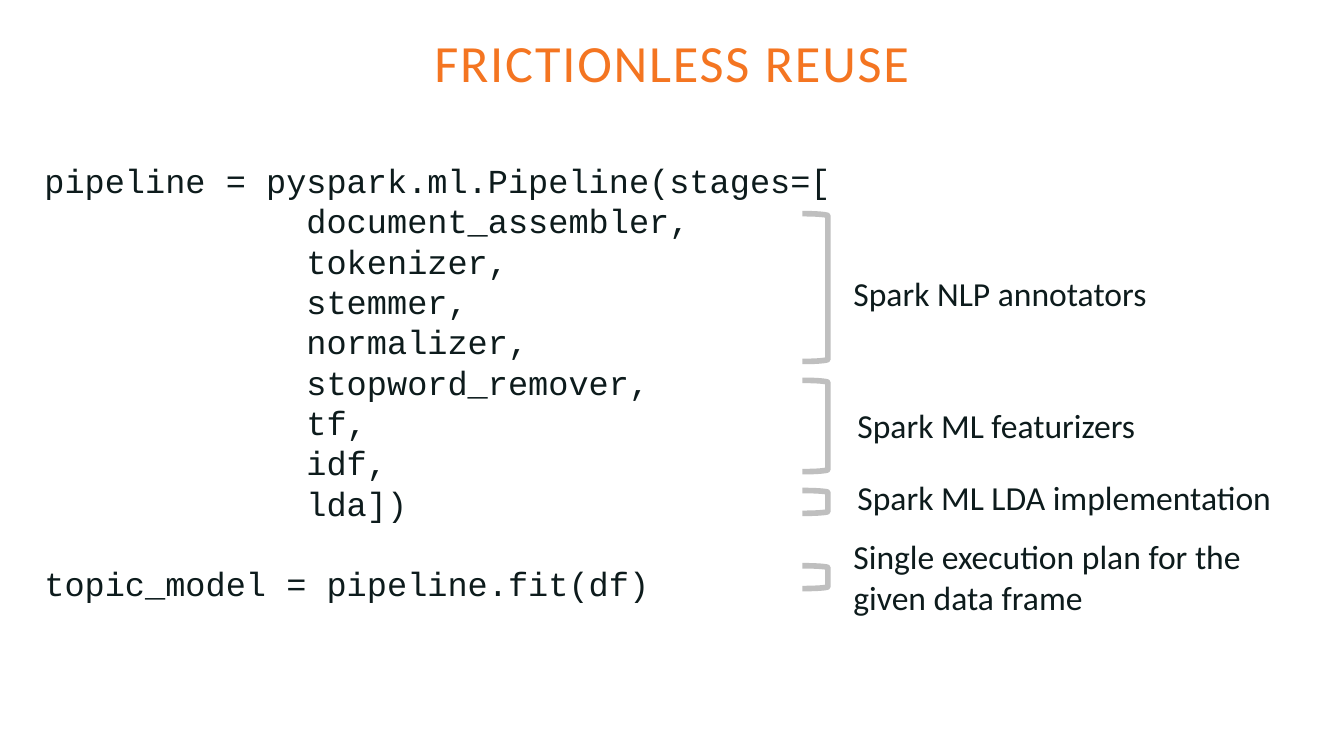
"""Builds the "Frictionless reuse" slide: pipeline code with bracketed notes."""
from typing import NamedTuple

from pptx import Presentation
from pptx import util as u
from pptx.dml.color import RGBColor
from pptx.enum import shapes, text

INK, ORANGE, GREY = "0D1B1C", "F47521", "BFBFBF"
SLIDE_WIDTH = 10
LINE_HEIGHT = u.Pt(21.6)
INDENT = " " * 13
STAGES = ["document_assembler,", "tokenizer,", "stemmer,", "normalizer,",
          "stopword_remover,", "tf,", "idf,", "lda])"]
PIPELINE = "\v".join(["pipeline = pyspark.ml.Pipeline(stages=["]
                     + [INDENT + stage for stage in STAGES])
FIT = "topic_model = pipeline.fit(df)"


class Note(NamedTuple):
    """A bracket beside the code and the label that explains it."""
    label: str
    left: float
    top: float
    height: float
    bracket_top: float
    bracket_height: float


NOTES = [
    Note("Spark NLP annotators", 6.35, 2.03, 0.3, 1.59, 1.1),
    Note("Spark ML featurizers", 6.38, 3.01, 0.3, 2.83, 0.68),
    Note("Spark ML LDA implementation", 6.38, 3.55, 0.3, 3.65, 0.17),
    Note("Single execution plan for the given data frame", 6.35, 3.99, 0.61, 4.21, 0.17),
]


def colour(value: str) -> RGBColor:
    """Turn a hex string into a colour."""
    return RGBColor.from_string(value)


def add_text(page, content: str, left: float, top: float, width: float, height: float,
             font: str = "Calibri", size: int = 18, ink: str = INK):
    """Add a wrapped text box without margins and return its frame."""
    box = page.shapes.add_textbox(*map(u.Inches, (left, top, width, height)))
    frame = box.text_frame
    frame.word_wrap = True
    frame.margin_left = frame.margin_top = frame.margin_right = frame.margin_bottom = 0
    frame.text = content
    for para in frame.paragraphs:
        for span in para.runs:
            span.font.name = font
            span.font.size = u.Pt(size)
            span.font.color.rgb = colour(ink)
    return frame


def add_title(page, content: str) -> None:
    """Add the centred, letter-spaced title."""
    frame = add_text(page, content, 0.5, 0.06, 9, 0.85, size=28, ink=ORANGE)
    frame.vertical_anchor = text.MSO_ANCHOR.MIDDLE
    para = frame.paragraphs[0]
    para.alignment = text.PP_ALIGN.CENTER
    para.line_spacing = 0.9
    para.runs[0].font._element.set("spc", "100")


def add_code(page) -> None:
    """Add the code, with one line of space before the last statement."""
    frame = add_text(page, f"{PIPELINE}\n{FIT}", 0.33, 1.19, 8.31, 3.33, font="Courier New")
    for para in frame.paragraphs:
        para.line_spacing = LINE_HEIGHT
    frame.paragraphs[1].space_before = LINE_HEIGHT


def add_note(page, note: Note) -> None:
    """Add one bracket and its label."""
    bracket = page.shapes.add_shape(
        shapes.MSO_SHAPE.RIGHT_BRACKET, u.Inches(5.97), u.Inches(note.bracket_top),
        u.Inches(0.19), u.Inches(note.bracket_height))
    bracket.shadow.inherit = False
    bracket.fill.background()
    bracket.line.color.rgb = colour(GREY)
    bracket.line.width = u.Pt(3)
    add_text(page, note.label, note.left, note.top, 3.12, note.height)


def main() -> None:
    """Build and save the deck."""
    deck = Presentation()
    deck.slide_width = u.Inches(SLIDE_WIDTH)
    deck.slide_height = u.Inches(SLIDE_WIDTH * 9 / 16)
    page = deck.slides.add_slide(deck.slide_layouts[6])
    add_code(page)
    for note in NOTES:
        add_note(page, note)
    add_title(page, "FRICTIONLESS REUSE")
    deck.save("out.pptx")


if __name__ == "__main__":
    main()
